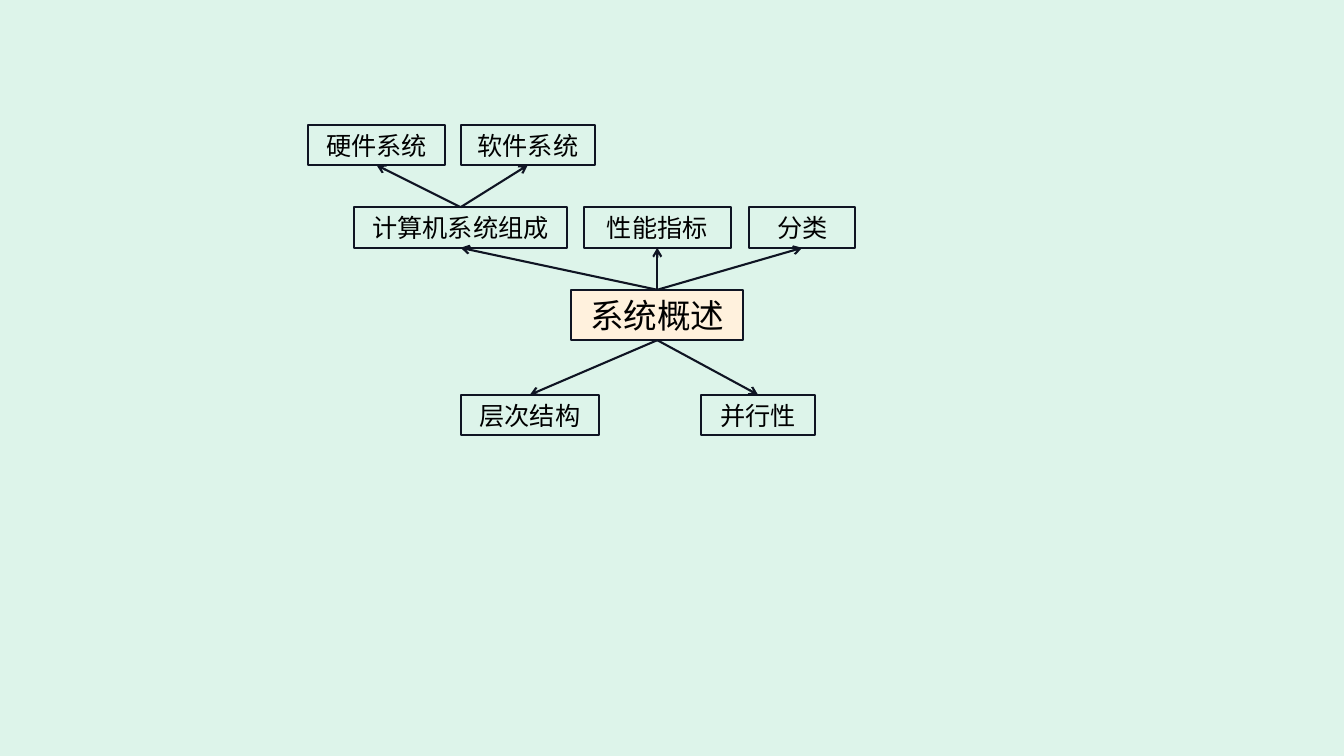
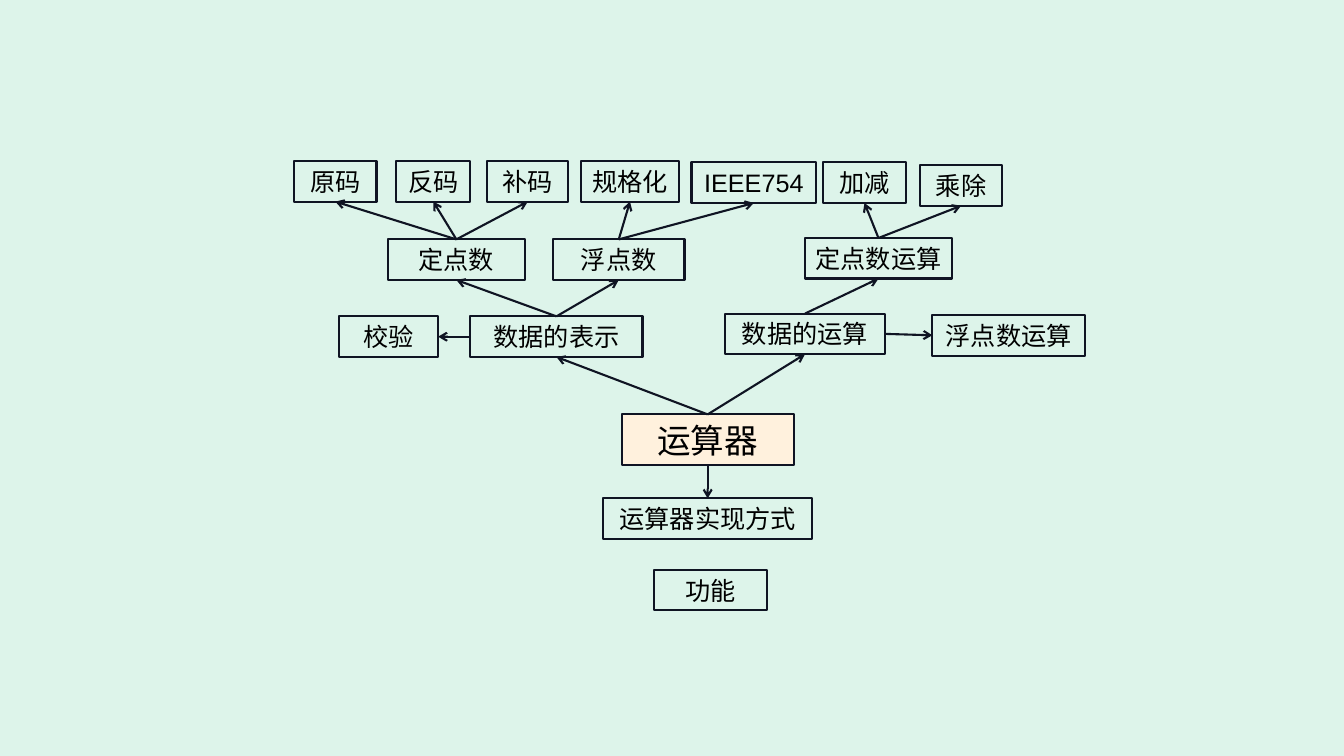
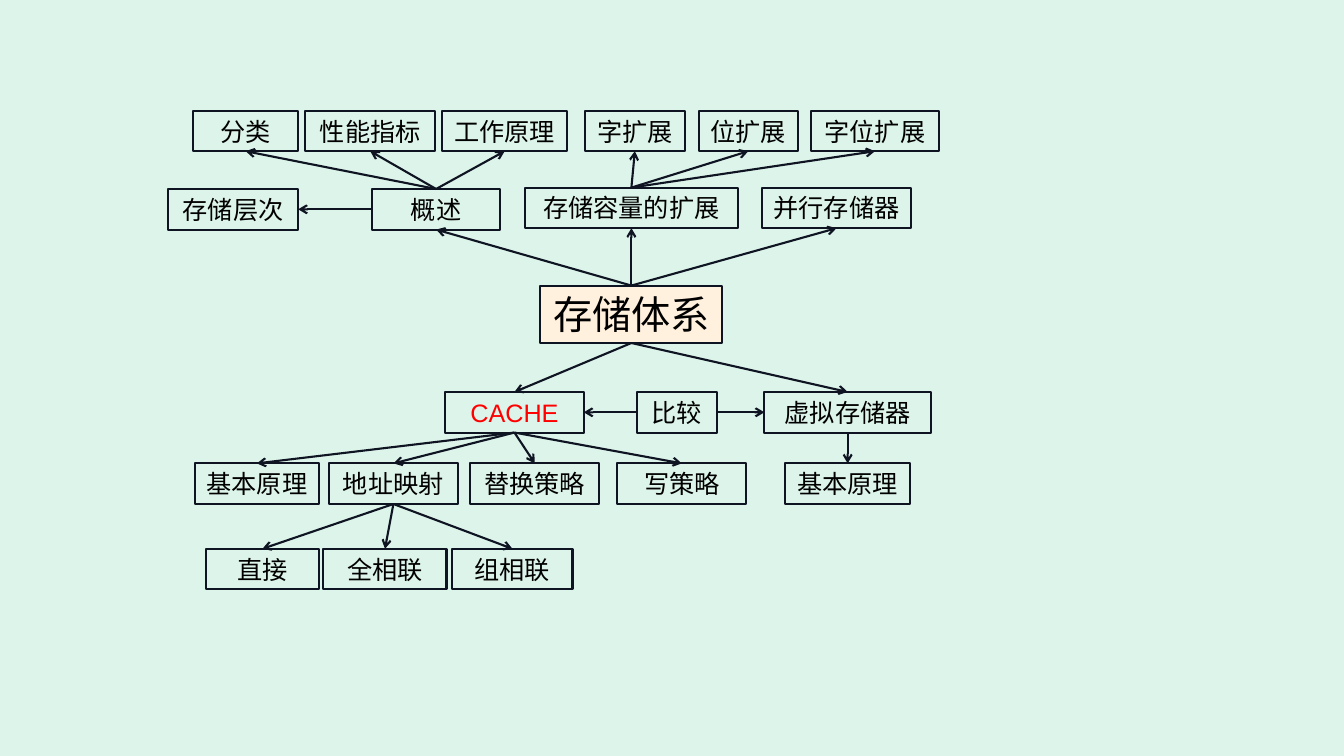
import dataclasses

import pptx
import pptx.dml.color
import pptx.enum.shapes
import pptx.enum.text
import pptx.oxml
import pptx.oxml.ns
import pptx.presentation
import pptx.shapes.autoshape
import pptx.slide
import pptx.util

Pt = pptx.util.Pt
Auto = pptx.shapes.autoshape.Shape

# Shared look
HEX = {
    "page": "DDF4EA",
    "root": "FFF1DD",
    "line": "0F1423",
    "text": "000000",
    "red": "FF0000",
}
FONT = "Arial"
BODY = 18
HIGH = {18: 29, 24: 36, 28: 41}  # box height for each text size
TOP, LEFT, BASE, RIGHT = range(4)  # connection sites of a rectangle


@dataclasses.dataclass(frozen=True)
class Box:
    """A framed label, with arrows to its kids. Lengths are points."""
    text: str
    left: int
    top: int
    width: int
    kids: tuple["Box", ...] = ()
    size: int = BODY
    color: str = "text"


@dataclasses.dataclass(frozen=True)
class Page:
    trees: tuple[Box, ...]
    links: tuple[tuple[Box, Box], ...] = ()  # arrows across trees


def tint(name: str) -> pptx.dml.color.RGBColor:
    return pptx.dml.color.RGBColor.from_string(HEX[name])


def draw_box(slide: pptx.slide.Slide, box: Box) -> Auto:
    shape = slide.shapes.add_shape(
        pptx.enum.shapes.MSO_SHAPE.RECTANGLE,
        Pt(box.left), Pt(box.top), Pt(box.width), Pt(HIGH[box.size]))
    shape.shadow.inherit = False
    if box.size > BODY:
        shape.fill.solid()
        shape.fill.fore_color.rgb = tint("root")
    else:
        shape.fill.background()
    shape.line.color.rgb = tint("line")
    shape.line.width = Pt(1.5)

    frame = shape.text_frame
    frame.word_wrap = True
    frame.auto_size = pptx.enum.text.MSO_AUTO_SIZE.SHAPE_TO_FIT_TEXT
    para = frame.paragraphs[0]
    para.alignment = pptx.enum.text.PP_ALIGN.CENTER
    run = para.add_run()
    run.text = box.text
    run.font.name = FONT
    run.font.size = Pt(box.size)
    run.font.color.rgb = tint(box.color)
    return shape


def sides(start: Auto, end: Auto) -> tuple[int, int]:
    """Choose the facing sides; boxes in one row join sideways."""
    if end.top + end.height <= start.top:
        return TOP, BASE
    if end.top >= start.top + start.height:
        return BASE, TOP
    return (RIGHT, LEFT) if end.left > start.left else (LEFT, RIGHT)


def draw_link(slide: pptx.slide.Slide, start: Auto, end: Auto) -> None:
    link = slide.shapes.add_connector(
        pptx.enum.shapes.MSO_CONNECTOR.STRAIGHT, 0, 0, 0, 0)
    out, into = sides(start, end)
    link.begin_connect(start, out)
    link.end_connect(end, into)
    link.line.color.rgb = tint("line")
    link.line.width = Pt(1.5)
    # Arrowhead and no shadow
    space = pptx.oxml.ns.nsdecls("a")
    props = link._element.spPr
    props.find(pptx.oxml.ns.qn("a:ln")).append(
        pptx.oxml.parse_xml(f'<a:tailEnd {space} type="arrow"/>'))
    props.append(pptx.oxml.parse_xml(f"<a:effectLst {space}/>"))


def draw_tree(slide: pptx.slide.Slide, box: Box,
              drawn: dict[Box, Auto]) -> None:
    drawn[box] = draw_box(slide, box)
    for kid in box.kids:
        draw_tree(slide, kid, drawn)
        draw_link(slide, drawn[box], drawn[kid])


def draw_page(deck: pptx.presentation.Presentation, page: Page) -> None:
    slide = deck.slides.add_slide(deck.slide_layouts[6])
    drawn: dict[Box, Auto] = {}
    for tree in page.trees:
        draw_tree(slide, tree, drawn)
    for start, end in page.links:
        draw_link(slide, drawn[start], drawn[end])


# System overview
SYSTEM = Page((
    Box("系统概述", 408, 207, 123, size=24, kids=(
        Box("计算机系统组成", 253, 148, 152, (
            Box("硬件系统", 220, 89, 98),
            Box("软件系统", 329, 89, 96),
        )),
        Box("性能指标", 417, 148, 105),
        Box("分类", 535, 148, 76),
        Box("层次结构", 329, 282, 99),
        Box("并行性", 501, 282, 81),
    )),
))

# Arithmetic unit
UNIT = Page((
    Box("运算器", 444, 296, 123, size=24, kids=(
        Box("数据的表示", 336, 226, 123, (
            Box("校验", 242, 226, 71),
            Box("定点数", 277, 171, 98, (
                Box("原码", 210, 115, 59),
                Box("反码", 283, 115, 53),
                Box("补码", 348, 115, 58),
            )),
            Box("浮点数", 395, 171, 94, (
                Box("规格化", 415, 115, 70),
                Box("IEEE754", 494, 116, 89),
            )),
        )),
        Box("数据的运算", 518, 224, 114, (
            Box("定点数运算", 575, 170, 105, (
                Box("加减", 588, 116, 59),
                Box("乘除", 657, 118, 59),
            )),
            Box("浮点数运算", 666, 225, 109),
        )),
        Box("运算器实现方式", 431, 356, 149),
    )),
    Box("功能", 467, 407, 81),
))

# Storage system
CACHE = Box("CACHE", 318, 280, 99, color="red", kids=(
    Box("基本原理", 139, 331, 89),
    Box("地址映射", 235, 331, 92, (
        Box("直接", 147, 392, 81),
        Box("全相联", 231, 392, 88),
        Box("组相联", 323, 392, 86),
    )),
    Box("替换策略", 336, 331, 92),
    Box("写策略", 441, 331, 92),
))
VIRTUAL = Box("虚拟存储器", 546, 280, 119, (
    Box("基本原理", 561, 331, 89),
))
VERSUS = Box("比较", 455, 280, 57)
STORE = Page((
    Box("存储体系", 386, 204, 130, size=28, kids=(
        Box("概述", 266, 135, 91, (
            Box("存储层次", 120, 135, 93),
            Box("分类", 138, 79, 75),
            Box("性能指标", 218, 79, 93),
            Box("工作原理", 316, 79, 89),
        )),
        Box("存储容量的扩展", 375, 134, 152, (
            Box("字扩展", 418, 79, 71),
            Box("位扩展", 499, 79, 71),
            Box("字位扩展", 579, 79, 92),
        )),
        Box("并行存储器", 544, 134, 107),
        CACHE,
        VIRTUAL,
    )),
    VERSUS,
), links=((VERSUS, CACHE), (VERSUS, VIRTUAL)))


def main() -> None:
    deck = pptx.Presentation()
    deck.slide_width, deck.slide_height = Pt(960), Pt(540)
    fill = deck.slide_master.background.fill
    fill.solid()
    fill.fore_color.rgb = tint("page")
    for page in (SYSTEM, UNIT, STORE):
        draw_page(deck, page)
    deck.save("out.pptx")


if __name__ == "__main__":
    main()
